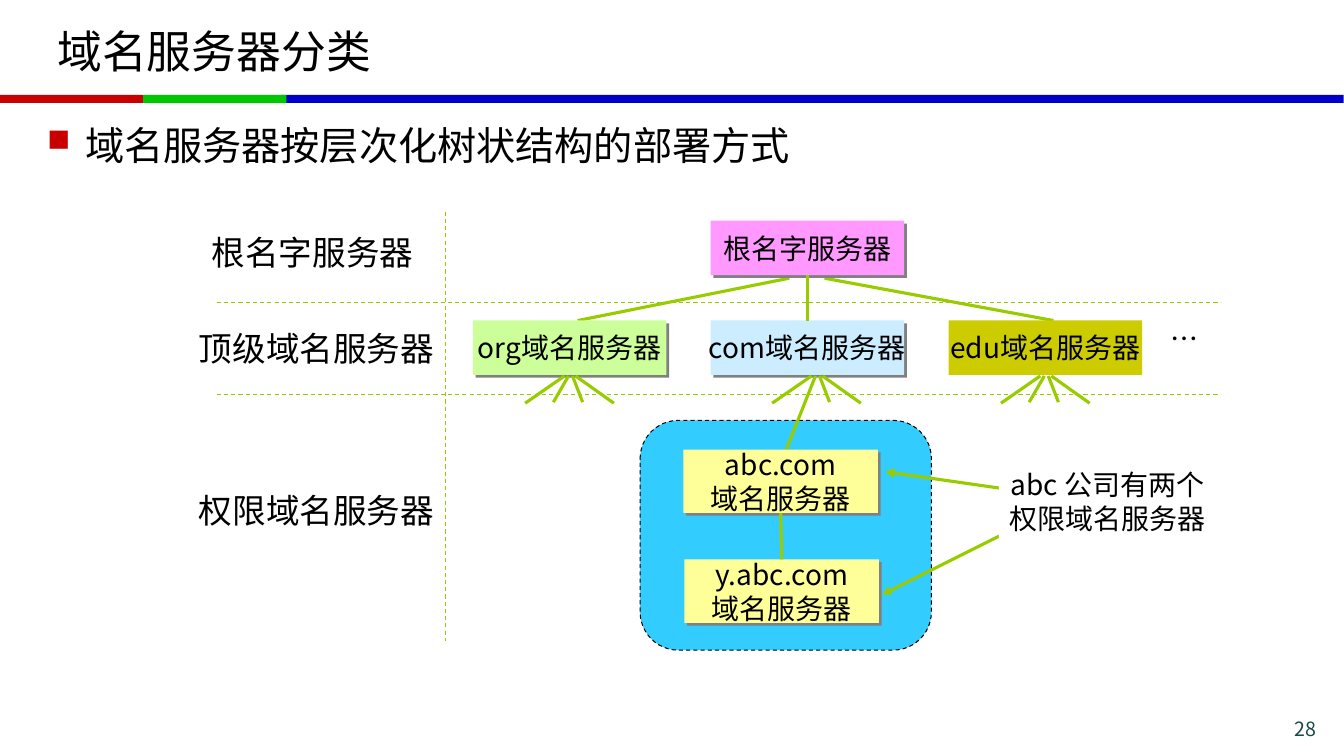
"""Build a slide on the tree of domain name servers."""
import pptx
import pptx.dml.color
import pptx.enum.dml
import pptx.enum.shapes
import pptx.enum.text
import pptx.oxml
import pptx.oxml.ns
import pptx.util

FONT = "Noto Sans CJK SC"
CELL = pptx.util.Inches(0.1)
GREEN = "99CC00"
SHAPES = pptx.enum.shapes.MSO_SHAPE
ALIGN = pptx.enum.text.PP_ALIGN
ANCHOR = pptx.enum.text.MSO_ANCHOR
DASH = pptx.enum.dml.MSO_LINE.DASH
SERVER_WIDTH, SERVER_HEIGHT, SERVER_ROW = 19.2, 5.4, 31.8
FIRST_SERVER, SERVER_STEP = 46.9, 23.6
FAN = ((0.6, 4.4, 40), (0.3, 1.3, 39.9), (-0.5, -4.4, 40), (-0.1, -1.6, 39.9))


def grid(*cells):
    """Turn columns and rows of the grid into slide lengths."""
    return [round(cell * CELL) for cell in cells]


def color(code):
    """Return the colour of a hex string."""
    return pptx.dml.color.RGBColor.from_string(code)


def xml(tag, attributes="", inner=""):
    """Return a drawing element."""
    space = pptx.oxml.ns.nsdecls("a")
    return pptx.oxml.parse_xml(f"<a:{tag} {space} {attributes}>{inner}</a:{tag}>")


def apply(target, values):
    """Set each attribute of the target from a dict."""
    for name, value in values.items():
        setattr(target, name, value)


def write(box, lines, size, align=ALIGN.CENTER, ink="000000", **frame):
    """Write lines of text into a box."""
    apply(box.text_frame, {"word_wrap": False, **frame})
    for number, line in enumerate(lines):
        para = box.text_frame.add_paragraph() if number else box.text_frame.paragraphs[0]
        para.alignment = align
        span = para.add_run()
        span.text = line
        apply(span.font, {"size": pptx.util.Pt(size), "name": FONT})
        span.font.color.rgb = color(ink)
        span.font._element.append(xml("ea", f'typeface="{FONT}"'))


def label(page, place, text, size, **style):
    """Add a text box."""
    box = page.shapes.add_textbox(*grid(*place))
    write(box, [text], size, **style)
    return box


def block(page, place, fill, kind=SHAPES.RECTANGLE):
    """Add a plain filled shape."""
    box = page.shapes.add_shape(kind, *grid(*place))
    box.shadow.inherit = False
    box.fill.solid()
    box.fill.fore_color.rgb = color(fill)
    box.line.fill.background()
    return box


def server(page, place, fill, lines, shadow=True):
    """Add a server box with a hard shadow."""
    box = block(page, place, fill)
    write(box, lines, 20, vertical_anchor=ANCHOR.MIDDLE)
    if shadow:
        effects = box._element.spPr.find(pptx.oxml.ns.qn("a:effectLst"))
        effects.append(xml("outerShdw", 'dist="35560" dir="2700000" algn="ctr" rotWithShape="0"',
                           '<a:srgbClr val="808080"/>'))
    return box


def link(page, start, end, width=2.25, dashed=False, arrow=False):
    """Add a green line between two grid points."""
    line = page.shapes.add_connector(pptx.enum.shapes.MSO_CONNECTOR.STRAIGHT,
                                     *grid(*start, *end))
    line.line.color.rgb = color(GREEN)
    line.line.width = pptx.util.Pt(width)
    if dashed:
        line.line.dash_style = DASH
    if arrow:
        line.line._get_or_add_ln().append(xml("tailEnd", 'type="triangle"'))
    line._element.spPr.append(xml("effectLst"))
    return line


def join(page, upper, lower):
    """Join the bottom of one box to the top of another."""
    line = link(page, (0, 0), (0, 0))
    line.begin_connect(upper, 2)
    line.end_connect(lower, 0)


def heading(page):
    """Add the title, the colour bar, the bullet and the page number."""
    for left, width, fill in ((27.9, 105.4, "0000C8"), (0, 14.2, "C80000"), (14.2, 14.2, "00C800")):
        block(page, (left, 9.4, width, 0.8), fill)
    label(page, (4.7, 0.8, 123.9, 8.4), "域名服务器分类", 32, align=ALIGN.LEFT,
          word_wrap=True, vertical_anchor=ANCHOR.MIDDLE)
    body = label(page, (3.7, 11.5, 126, 12.6), "域名服务器按层次化树状结构的部署方式", 28,
                 align=ALIGN.LEFT, word_wrap=True)
    para = body.text_frame.paragraphs[0]
    para.space_before = pptx.util.Pt(5.6)
    props = para._p.get_or_add_pPr()
    indent = grid(3.75)[0]
    props.set("marL", str(indent))
    props.set("indent", str(-indent))
    props.append(xml("buClr", "", '<a:srgbClr val="C80000"/>'))
    props.append(xml("buSzPct", 'val="80000"'))
    props.append(xml("buChar", 'char="■"'))
    label(page, (118.6, 70.6, 13, 2.8), "28", 14, align=ALIGN.RIGHT, ink="1E4649",
          word_wrap=True)


def levels(page):
    """Add the level names and the dashed rules between them."""
    for row in (30, 39.1):
        link(page, (21.5, row), (121.1, row), 0.75, dashed=True)
    link(page, (44.2, 21), (44.2, 63.6), 0.75, dashed=True)
    for left, top, width, text in ((19.9, 22.5, 22.2, "根名字服务器"),
                                   (18.6, 32, 25.6, "顶级域名服务器"),
                                   (18.6, 48.1, 25.6, "权限域名服务器")):
        label(page, (left, top, width, 5.1), text, 24)


def tree(page):
    """Add the servers and the lines between them."""
    zone = block(page, (63.5, 41.7, 28.9, 22.8), "33CCFF", SHAPES.ROUNDED_RECTANGLE)
    zone.line.color.rgb = color("000000")
    apply(zone.line, {"width": pptx.util.Pt(0.75), "dash_style": DASH})
    link(page, (57.3, SERVER_ROW), (78.3, 27.6))
    link(page, (104.5, SERVER_ROW), (81.8, 27.6))
    root = server(page, (FIRST_SERVER + SERVER_STEP, 21.9, SERVER_WIDTH, SERVER_HEIGHT),
                  "FF99FF", ["根名字服务器"])
    domains = {}
    for number, (name, fill, shift) in enumerate((("org", "CCFF99", 0), ("com", "CCECFF", 0.9),
                                                  ("edu", "CCCC00", 0))):
        left = FIRST_SERVER + number * SERVER_STEP
        domains[name] = server(page, (left, SERVER_ROW, SERVER_WIDTH, SERVER_HEIGHT), fill,
                               [name + "域名服务器"], shadow=name != "edu")
        middle = left + SERVER_WIDTH / 2 + shift
        for near, far, row in FAN:
            end = (78, 44.6) if name == "com" and far == -1.6 else (middle + far, row)
            link(page, (middle + near, 37.3), end)
    join(page, root, domains["com"])
    label(page, (115.1, 31.4, 4, 4.4), "…", 20, align=ALIGN.LEFT)
    company, branch = [server(page, (left, top, 19.3, 6.3), "FFFF99", [name, "域名服务器"])
                       for left, top, name in ((67.8, 44.6, "abc.com"), (67.9, 55.5, "y.abc.com"))]
    join(page, company, branch)
    link(page, (101.8, 48.8), (87.8, 46.8), arrow=True)
    link(page, (101.9, 51.8), (87.5, 59), arrow=True)
    note = block(page, (99.1, 45.9, 21.6, 7.7), "FFFFFF")
    write(note, ["abc 公司有两个", "权限域名服务器"], 20, word_wrap=True,
          vertical_anchor=ANCHOR.TOP)


def main():
    """Build and save the deck."""
    deck = pptx.Presentation()
    apply(deck, dict(zip(("slide_width", "slide_height"), grid(133.33, 75))))
    page = deck.slides.add_slide(deck.slide_layouts[6])
    heading(page)
    levels(page)
    tree(page)
    deck.save("out.pptx")


if __name__ == "__main__":
    main()
